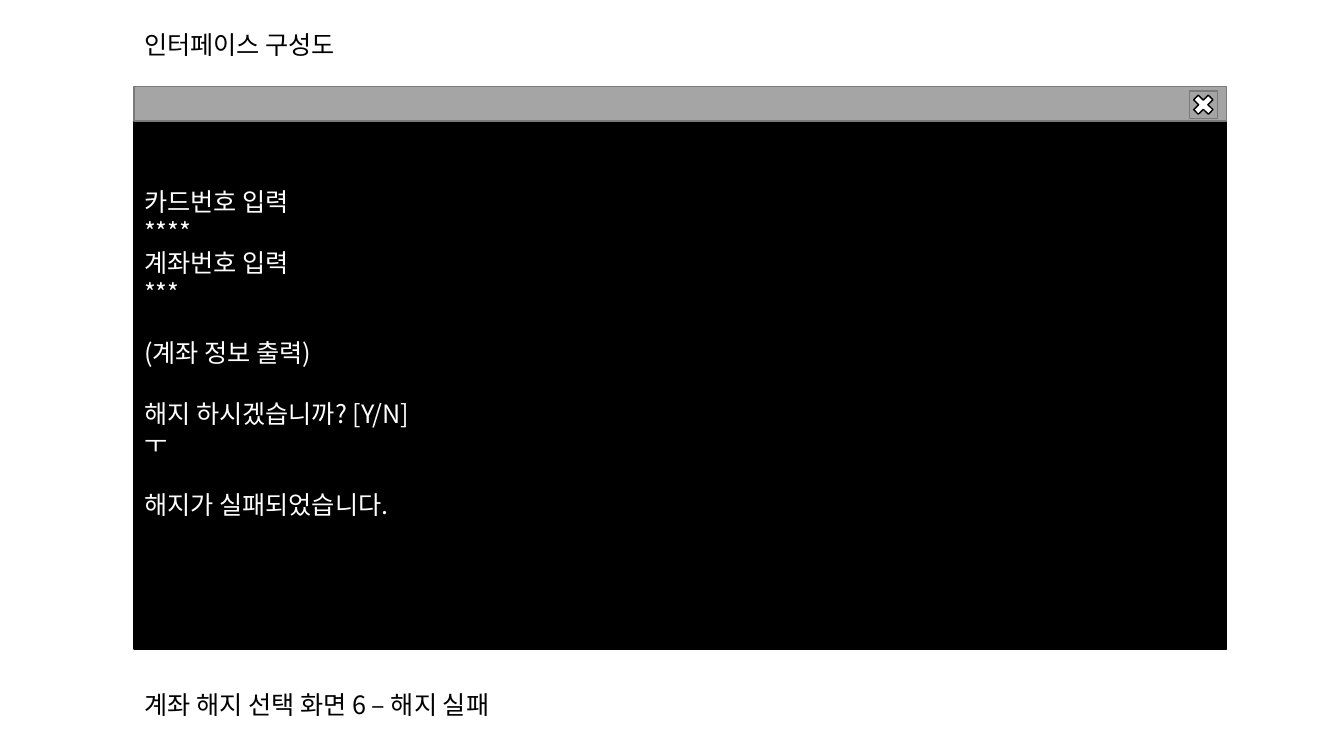
from lxml.etree import SubElement
from pptx import Presentation
from pptx.dml.color import RGBColor
from pptx.enum.shapes import MSO_SHAPE
from pptx.enum.text import MSO_ANCHOR, MSO_AUTO_SIZE, PP_ALIGN
from pptx.oxml.ns import qn
from pptx.util import Cm, Pt


def paint(tint):
    return RGBColor.from_string(tint)


class Deck:
    """Hold the style and the current slide."""

    face = "Noto Sans CJK KR"
    size = Pt(18)
    pitch = Pt(21.6)
    frame = {
        "word_wrap": True,
        "auto_size": MSO_AUTO_SIZE.NONE,
        "vertical_anchor": MSO_ANCHOR.TOP,
        "margin_left": Cm(0.25),
        "margin_right": Cm(0.25),
        "margin_top": Cm(0.13),
        "margin_bottom": Cm(0.13),
    }

    def __init__(self, show):
        self.slide = show.slides.add_slide(show.slide_layouts[5])
        self.group = self.slide.shapes.add_group_shape()

    def letter(self, shape, lines, tint, top=0.13):
        body = shape.text_frame
        for name, value in {**self.frame, "margin_top": Cm(top)}.items():
            setattr(body, name, value)
        for i, (text, gap) in enumerate(lines):
            para = body.paragraphs[0] if i == 0 else body.add_paragraph()
            form = {"alignment": PP_ALIGN.LEFT, "line_spacing": self.pitch,
                    "space_before": Pt(self.pitch.pt * gap)}
            for name, value in form.items():
                setattr(para, name, value)
            run = para.add_run()
            run.text = text
            for name, value in {"size": self.size, "name": self.face}.items():
                setattr(run.font, name, value)
            run.font.color.rgb = paint(tint)
            SubElement(run.font._element, qn("a:ea"), typeface=self.face)

    def title(self, text, *box):
        shape = self.slide.shapes.title
        for name, value in zip(("left", "top", "width", "height"), box):
            setattr(shape, name, Cm(value))
        self.letter(shape, [(text, 0)], "000000")

    def label(self, text, *box):
        shape = self.slide.shapes.add_textbox(*map(Cm, box))
        self.letter(shape, [(text, 0)], "000000")

    def block(self, kind, fill, line, *box):
        shape = self.group.shapes.add_shape(kind, *map(Cm, box))
        shape.shadow.inherit = False
        shape.fill.solid()
        shape.fill.fore_color.rgb = paint(fill)
        shape.line.color.rgb = paint(line)
        shape.line.width = Pt(1)
        return shape


show = Presentation()
show.slide_width, show.slide_height = Cm(33.87), Cm(19.05)
deck = Deck(show)
left, width = 3.38, 27.53
close = (29.97, 2.29, 0.71, 0.7)

screen = deck.block(MSO_SHAPE.RECTANGLE, "000000", "000000", left, 3.05, width, 13.31)
deck.letter(screen, [
    ("카드번호 입력", 0),
    ("****", 0),
    ("계좌번호 입력", 0),
    ("***", 0),
    ("(계좌 정보 출력)", 1),
    ("해지 하시겠습니까? [Y/N]", 1),
    ("ㅜ", 0),
    ("해지가 실패되었습니다.", 1),
], "FFFFFF", top=1.65)
deck.block(MSO_SHAPE.RECTANGLE, "A5A5A5", "7A7A7A", left, 2.18, width, 0.87)
deck.block(MSO_SHAPE.FLOWCHART_PROCESS, "A5A5A5", "7A7A7A", *close)
deck.block(MSO_SHAPE.MATH_MULTIPLY, "FFFFFF", "000000", *close)

deck.title("인터페이스 구성도", left, 0.61, 5.87, 1.02)
deck.label("계좌 해지 선택 화면 6 – 해지 실패", left, 17.25, 10.49, 1.02)
show.save("out.pptx")
